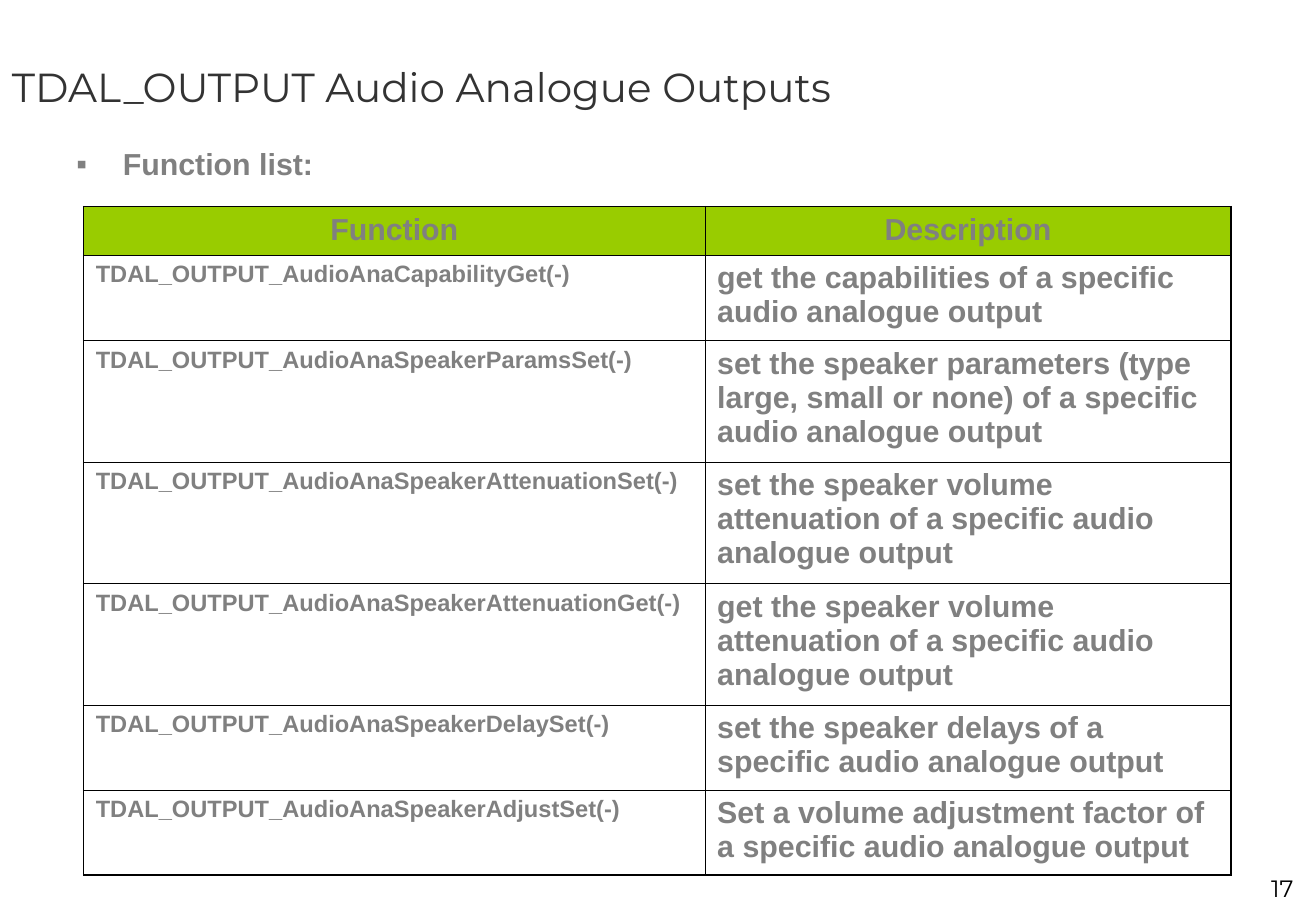
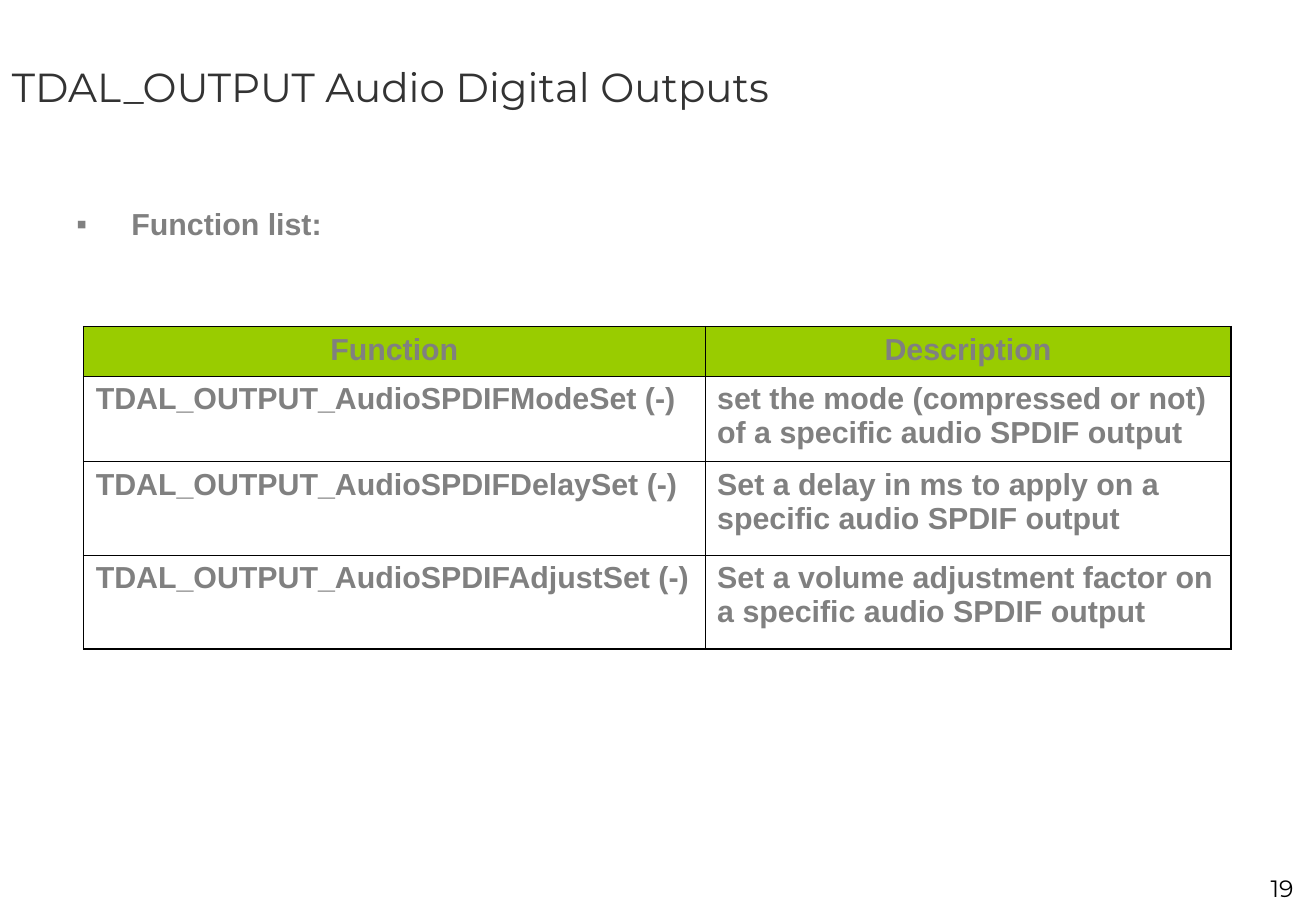
"""Builds two slides that list the audio output functions of TDAL_OUTPUT."""
from dataclasses import dataclass

from lxml.etree import SubElement
from pptx import Presentation
from pptx.dml.color import RGBColor
from pptx.enum.text import MSO_ANCHOR, PP_ALIGN
from pptx.oxml.ns import qn
from pptx.util import Cm, Pt


@dataclass(frozen=True)
class Theme:
    display_font: str = "Montserrat"
    body_font: str = "Arial"
    title_color: str = "333333"
    body_color: str = "808080"
    number_color: str = "000000"
    border_color: str = "000000"
    header_fill: str = "99CC00"
    title_size: int = 24
    body_size: int = 18
    small_size: int = 14
    outer_border: float = 1.08
    inner_border: float = 0.45


theme = Theme()


def style(paragraph, font_name, size, color, bold=False, align=PP_ALIGN.LEFT):
    paragraph.alignment = align
    paragraph.font.name = font_name
    paragraph.font.size = Pt(size)
    paragraph.font.bold = bold
    paragraph.font.color.rgb = RGBColor.from_string(color)


def add_text(slide, text, left, top, width, height, anchor=MSO_ANCHOR.TOP):
    frame = slide.shapes.add_textbox(Cm(left), Cm(top), Cm(width), Cm(height)).text_frame
    frame.word_wrap = True
    frame.vertical_anchor = anchor
    frame.text = text
    return frame.paragraphs[0]


header = ("Function", "Description")
column_widths = (13, 11)
pages = [
    {
        "title": "TDAL_OUTPUT Audio Analogue Outputs",
        "number": "17",
        "list_top": 2.92,
        "list_indent": 0.97,
        "table_top": 4.32,
        "row_heights": (1.02, 1.78, 2.54, 2.54, 2.54, 1.78, 1.78),
        "function_size": theme.small_size,
        "functions": [
            ("TDAL_OUTPUT_AudioAnaCapabilityGet(-)",
             "get the capabilities of a specific audio analogue output"),
            ("TDAL_OUTPUT_AudioAnaSpeakerParamsSet(-)",
             "set the speaker parameters (type large, small or none) of a specific audio analogue output"),
            ("TDAL_OUTPUT_AudioAnaSpeakerAttenuationSet(-)",
             "set the speaker volume attenuation of a specific audio analogue output"),
            ("TDAL_OUTPUT_AudioAnaSpeakerAttenuationGet(-)",
             "get the speaker volume attenuation of a specific audio analogue output"),
            ("TDAL_OUTPUT_AudioAnaSpeakerDelaySet(-)",
             "set the speaker delays of a specific audio analogue output"),
            ("TDAL_OUTPUT_AudioAnaSpeakerAdjustSet(-)",
             "Set a volume adjustment factor of a specific audio analogue output"),
        ],
    },
    {
        "title": "TDAL_OUTPUT Audio Digital Outputs",
        "number": "19",
        "list_top": 4.17,
        "list_indent": 1.15,
        "table_top": 6.83,
        "row_heights": (1.04, 1.78, 1.96, 1.96),
        "function_size": theme.body_size,
        "functions": [
            ("TDAL_OUTPUT_AudioSPDIFModeSet (-)",
             "set the mode (compressed or not) of a specific audio SPDIF output"),
            ("TDAL_OUTPUT_AudioSPDIFDelaySet (-)",
             "Set a delay in ms to apply on a specific audio SPDIF output"),
            ("TDAL_OUTPUT_AudioSPDIFAdjustSet (-)",
             "Set a volume adjustment factor on a specific audio SPDIF output"),
        ],
    },
]

presentation = Presentation()
presentation.slide_width = Cm(27.53)
presentation.slide_height = Cm(19.05)

for page in pages:
    slide = presentation.slides.add_slide(presentation.slide_layouts[6])

    title = add_text(slide, page["title"], 0, 0, 27.5, 3.6, MSO_ANCHOR.MIDDLE)
    style(title, theme.display_font, theme.title_size, theme.title_color)

    list_heading = add_text(slide, "Function list:", 1.35, page["list_top"], 12.17, 12.57)
    properties = list_heading._p.get_or_add_pPr()
    indent = Cm(page["list_indent"])
    properties.set("marL", str(indent))
    properties.set("indent", str(-indent))
    bullet_color = SubElement(properties, qn("a:buClr"))
    SubElement(bullet_color, qn("a:srgbClr"), val=theme.body_color)
    SubElement(properties, qn("a:buFont"), typeface=theme.body_font)
    SubElement(properties, qn("a:buChar"), char="▪")
    style(list_heading, theme.body_font, theme.body_size, theme.body_color, bold=True)

    rows = [header, *page["functions"]]
    heights = page["row_heights"]
    function_table = slide.shapes.add_table(
        len(rows), len(header), Cm(1.75), Cm(page["table_top"]),
        Cm(sum(column_widths)), Cm(sum(heights))).table
    function_table.horz_banding = False
    function_table.first_row = False
    for column, width in zip(function_table.columns, column_widths):
        column.width = Cm(width)

    for r, texts in enumerate(rows):
        function_table.rows[r].height = Cm(heights[r])
        for c, text in enumerate(texts):
            cell = function_table.cell(r, c)
            cell.text = text
            is_header = r == 0
            size = page["function_size"] if c == 0 and not is_header else theme.body_size
            style(cell.text_frame.paragraphs[0], theme.body_font, size, theme.body_color, bold=True,
                  align=PP_ALIGN.CENTER if is_header else PP_ALIGN.LEFT)

            on_edge = {"lnL": c == 0, "lnR": c == len(header) - 1,
                       "lnT": is_header, "lnB": r == len(rows) - 1}
            cell_properties = cell._tc.get_or_add_tcPr()
            for side, outer in on_edge.items():
                weight = theme.outer_border if outer else theme.inner_border
                border = SubElement(cell_properties, qn(f"a:{side}"), w=str(Pt(weight)))
                border_fill = SubElement(border, qn("a:solidFill"))
                SubElement(border_fill, qn("a:srgbClr"), val=theme.border_color)
            if is_header:
                cell.fill.solid()
                cell.fill.fore_color.rgb = RGBColor.from_string(theme.header_fill)
            else:
                cell.fill.background()

    page_number = add_text(slide, page["number"], 24.36, 18.14, 2.95, 0.84)
    style(page_number, theme.display_font, theme.small_size, theme.number_color,
          align=PP_ALIGN.RIGHT)

presentation.save("out.pptx")
